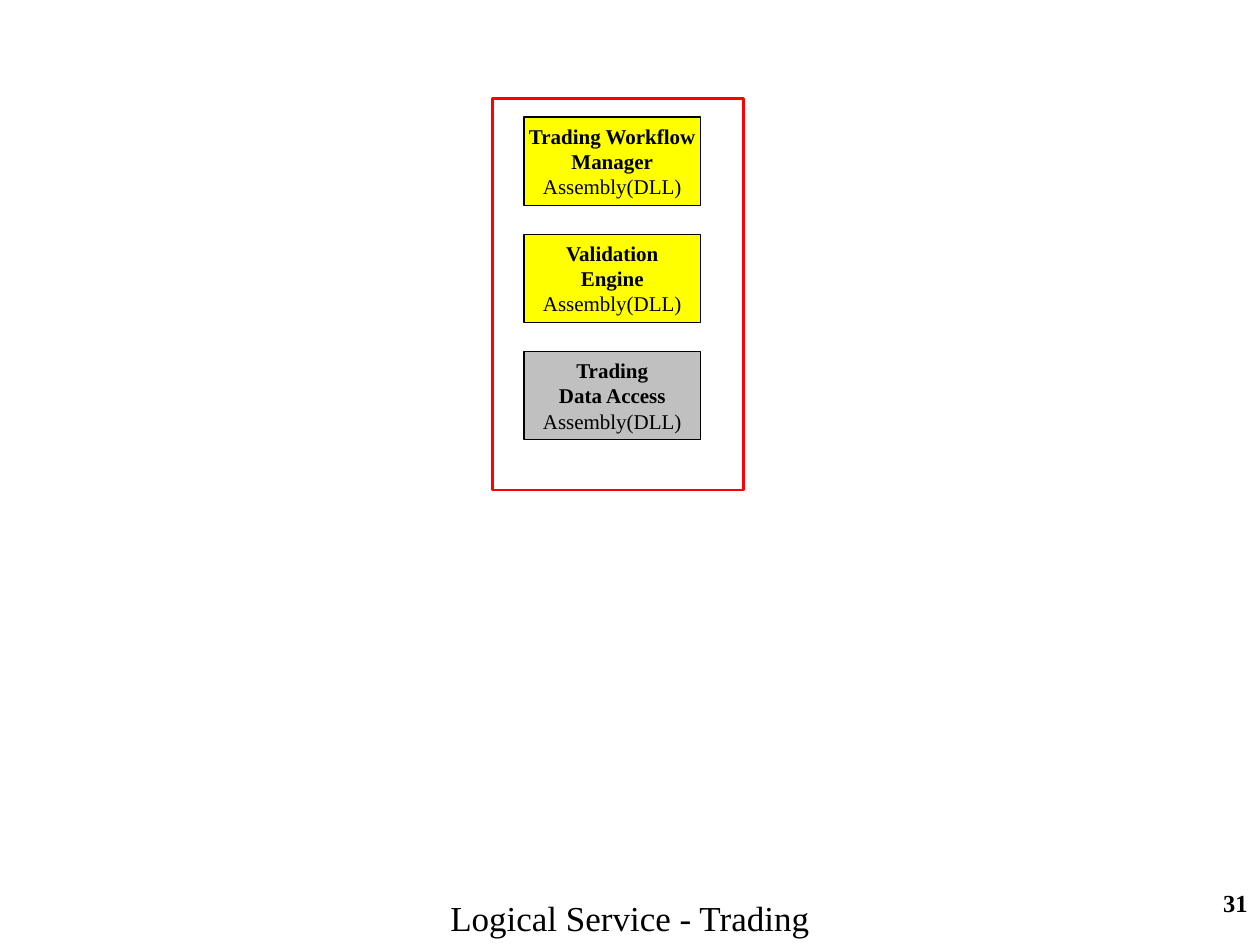
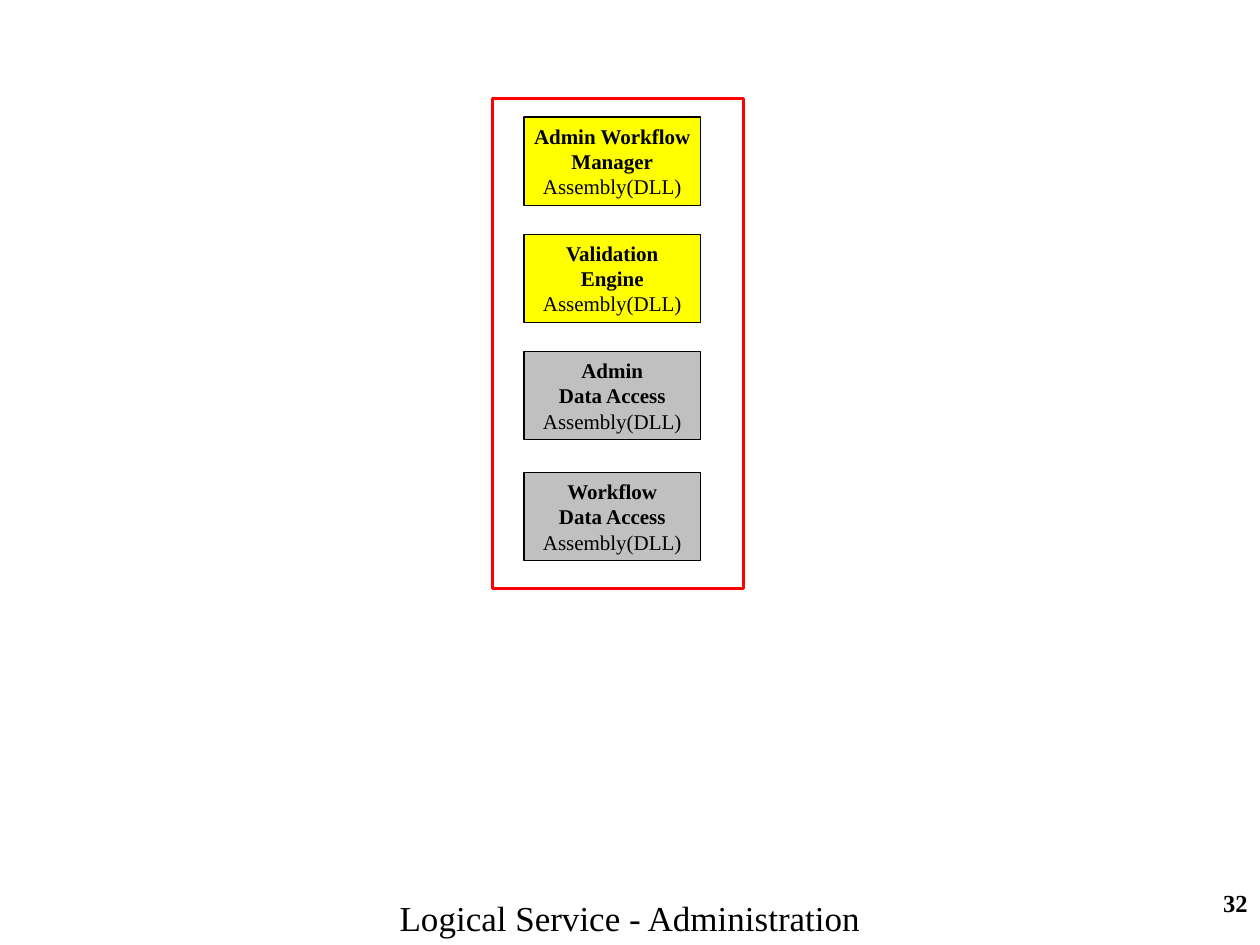
from pptx import Presentation
from pptx.dml.color import RGBColor
from pptx.enum import shapes, text
from pptx.util import Inches, Pt

FONT = "Times New Roman"
COLOURS = {"ink": "000000", "frame": "FF0000", "logic": "FFFF00", "data": "C0C0C0"}
FRAME_LEFT, FRAME_TOP, FRAME_WIDTH = 3.91, 0.78, 1.99
ASSEMBLY_TOPS = (0.15, 1.08, 2.01, 2.97)

SERVICES = [
    ("Trading", 31, 3.07, 3.11, [
        ("Trading Workflow", "Manager", "logic"),
        ("Validation", "Engine", "logic"),
        ("Trading", "Data Access", "data"),
    ]),
    ("Administration", 32, 3.88, 3.89, [
        ("Admin Workflow", "Manager", "logic"),
        ("Validation", "Engine", "logic"),
        ("Admin", "Data Access", "data"),
        ("Workflow", "Data Access", "data"),
    ]),
]


def colour(key):
    """Return the named colour."""
    return RGBColor.from_string(COLOURS[key])


def write(frame, lines, size, align, bold_lines=0):
    """Fill a text frame with one paragraph per line, the first ones bold."""
    frame.text = "\n".join(lines)
    for index, paragraph in enumerate(frame.paragraphs):
        paragraph.alignment = align
        for run in paragraph.runs:
            run.font.name = FONT
            run.font.size = Pt(size)
            run.font.bold = index < bold_lines
            run.font.color.rgb = colour("ink")


def add_rectangle(slide, left, top, width, height, outline, weight, fill=None):
    """Add a flat outlined rectangle, filled when a fill is named."""
    rectangle = slide.shapes.add_shape(
        shapes.MSO_SHAPE.RECTANGLE,
        Inches(left), Inches(top), Inches(width), Inches(height))
    rectangle.shadow.inherit = False
    rectangle.line.color.rgb = colour(outline)
    rectangle.line.width = Pt(weight)
    if fill:
        rectangle.fill.solid()
        rectangle.fill.fore_color.rgb = colour(fill)
    else:
        rectangle.fill.background()
    return rectangle


def add_page_number(slide, number):
    """Write the page number in the bottom right corner."""
    corner = slide.shapes.add_textbox(Inches(7.92), Inches(7), Inches(2.08), Inches(0.5))
    corner.text_frame.word_wrap = True
    write(corner.text_frame, [str(number)], 14, text.PP_ALIGN.RIGHT, 1)


def add_caption(slide, service, width):
    """Centre the slide title along the bottom edge."""
    caption = slide.shapes.title
    caption.left, caption.top = Inches(5 - width / 2), Inches(7.06)
    caption.width, caption.height = Inches(width), Inches(0.44)
    frame = caption.text_frame
    write(frame, [f"Logical Service - {service}"], 20, text.PP_ALIGN.CENTER)
    frame.word_wrap = False
    frame.auto_size = text.MSO_AUTO_SIZE.SHAPE_TO_FIT_TEXT


def add_assembly(slide, left, top, name_lines, fill):
    """Add one assembly box."""
    assembly = add_rectangle(slide, left, top, 1.4, 0.7, "ink", 0.75, fill)
    frame = assembly.text_frame
    frame.word_wrap = False
    frame.vertical_anchor = text.MSO_ANCHOR.MIDDLE
    write(frame, [*name_lines, "Assembly(DLL)"], 12, text.PP_ALIGN.CENTER, 2)


def add_service(slide, left, top, height, assemblies):
    """Add the service frame with its column of assemblies."""
    add_rectangle(slide, left, top, FRAME_WIDTH, height, "frame", 1.5)
    for offset, (*name_lines, fill) in zip(ASSEMBLY_TOPS, assemblies):
        add_assembly(slide, left + 0.25, top + offset, name_lines, fill)


def main():
    """Build one slide per logical service."""
    deck = Presentation()
    deck.slide_width, deck.slide_height = Inches(10), Inches(7.5)
    for service, number, caption_width, frame_height, assemblies in SERVICES:
        slide = deck.slides.add_slide(deck.slide_layouts.get_by_name("Title Only"))
        add_page_number(slide, number)
        add_caption(slide, service, caption_width)
        add_service(slide, FRAME_LEFT, FRAME_TOP, frame_height, assemblies)
    deck.save("out.pptx")


if __name__ == "__main__":
    main()
